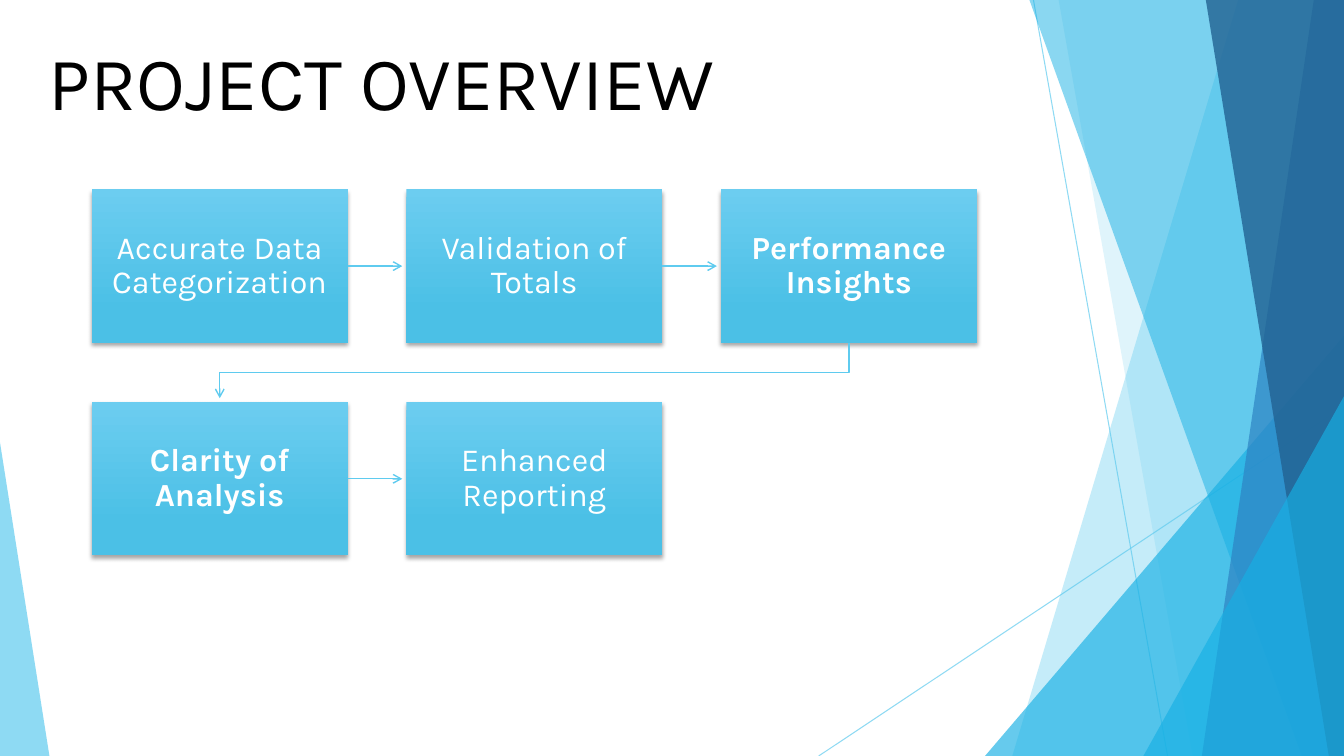
from dataclasses import dataclass

from lxml import etree
from pptx import Presentation
from pptx import util as u
from pptx.dml.color import RGBColor
from pptx.enum import shapes, text
from pptx.oxml import ns


@dataclass(frozen=True)
class Theme:
    font: str = "Karla"
    title_size: int = 54
    box_size: int = 23
    black: str = "000000"
    white: str = "FFFFFF"
    sky: str = "5FCBEF"
    cyan: str = "17B0E4"
    blue: str = "2E83C3"
    navy: str = "226292"
    box_top: str = "6CCDF0"
    box_bottom: str = "4BC0E6"


THEME = Theme()
RIGHT, BOTTOM = 13.33, 7.5
BOX_W, BOX_H = 2.54, 1.52
BOX_LEFT, BOX_TOP = 0.91, 1.88
COLUMN_STEP, ROW_STEP = 3.12, 2.11
ARROW_GAP = 0.04


def rgb(color):
    return RGBColor.from_string(color)


def set_alpha(sp, percent):
    color = sp._element.spPr.find(".//" + ns.qn("a:srgbClr"))
    etree.SubElement(color, ns.qn("a:alpha"), val=str(percent * 1000))


def set_line(sp, width):
    sp.line.color.rgb = rgb(THEME.sky)
    sp.line.width = u.Pt(width)


def add_arrowhead(sp):
    ln = sp.line._get_or_add_ln()
    etree.SubElement(ln, ns.qn("a:tailEnd"), type="arrow")


def fill_facet(sp, color, alpha):
    sp.shadow.inherit = False
    sp.fill.solid()
    sp.fill.fore_color.rgb = rgb(color)
    sp.line.fill.background()
    set_alpha(sp, alpha)


def add_path(s, points, close):
    pts = [(u.Inches(x), u.Inches(y)) for x, y in points]
    builder = s.shapes.build_freeform(*pts[0])
    builder.add_line_segments(pts[1:], close=close)
    sp = builder.convert_to_shape()
    sp.shadow.inherit = False
    return sp


def add_band(s, top_x, bottom_x, color, alpha):
    points = [(top_x, 0), (RIGHT, 0), (RIGHT, BOTTOM), (bottom_x, BOTTOM)]
    fill_facet(add_path(s, points, True), color, alpha)


def add_triangle(s, left, top, width, apex, color, alpha):
    sp = s.shapes.add_shape(
        shapes.MSO_SHAPE.ISOSCELES_TRIANGLE,
        u.Inches(left), u.Inches(top), u.Inches(width), u.Inches(BOTTOM - top))
    sp.adjustments[0] = apex
    fill_facet(sp, color, alpha)


def add_line(s, x1, y1, x2, y2, width):
    line = s.shapes.add_connector(
        shapes.MSO_CONNECTOR.STRAIGHT,
        u.Inches(x1), u.Inches(y1), u.Inches(x2), u.Inches(y2))
    set_line(line, width)
    etree.SubElement(line._element.spPr, ns.qn("a:effectLst"))
    return line


def add_backdrop(s):
    for ends in ((10.25, 0, 11.58, BOTTOM), (RIGHT, 4.03, 8.12, BOTTOM)):
        set_alpha(add_line(s, *ends, 0.75), 70)
    add_band(s, 12.28, 10.04, THEME.sky, 36)
    add_band(s, 10.5, 11.83, THEME.sky, 20)
    add_triangle(s, 9.77, 3.33, 3.56, 1, THEME.cyan, 66)
    add_band(s, 10.21, 12.91, THEME.cyan, 50)
    add_band(s, 13.03, 11.92, THEME.blue, 70)
    add_band(s, 11.96, 13.18, THEME.navy, 80)
    add_triangle(s, 11.34, 3.93, 1.99, 1, THEME.cyan, 66)
    add_triangle(s, 0, 4.39, 0.49, 0, THEME.sky, 70)


def set_title(s, words):
    title = s.shapes.title
    title.left, title.top = u.Inches(0.38), u.Inches(0.3)
    title.width, title.height = u.Inches(7.81), u.Inches(1.01)
    tf = title.text_frame
    tf.text = words
    tf.auto_size = text.MSO_AUTO_SIZE.NONE
    tf.vertical_anchor = text.MSO_ANCHOR.TOP
    p = tf.paragraphs[0]
    p.alignment = text.PP_ALIGN.LEFT
    p.font.name = THEME.font
    p.font.size = u.Pt(THEME.title_size)
    p.font.color.rgb = rgb(THEME.black)


def add_box_shadow(sp):
    sp.shadow.inherit = False
    effects = sp._element.spPr.find(ns.qn("a:effectLst"))
    shadow = etree.SubElement(
        effects, ns.qn("a:outerShdw"), blurRad=str(u.Pt(3)), dist=str(u.Pt(2)),
        dir="5400000", rotWithShape="0")
    color = etree.SubElement(shadow, ns.qn("a:srgbClr"), val=THEME.black)
    etree.SubElement(color, ns.qn("a:alpha"), val="35000")


def add_box(s, left, top, words, bold):
    sp = s.shapes.add_shape(
        shapes.MSO_SHAPE.RECTANGLE,
        u.Inches(left), u.Inches(top), u.Inches(BOX_W), u.Inches(BOX_H))
    sp.fill.gradient()
    sp.fill.gradient_angle = 270
    stops = zip(sp.fill.gradient_stops, (0, 0.78), (THEME.box_top, THEME.box_bottom))
    for stop, position, color in stops:
        stop.position = position
        stop.color.rgb = rgb(color)
    sp.line.fill.background()
    add_box_shadow(sp)
    tf = sp.text_frame
    tf.text = words
    tf.word_wrap = True
    tf.vertical_anchor = text.MSO_ANCHOR.MIDDLE
    tf.margin_left = tf.margin_right = u.Inches(0.18)
    tf.margin_top = tf.margin_bottom = u.Inches(0.18)
    p = tf.paragraphs[0]
    p.alignment = text.PP_ALIGN.CENTER
    p.line_spacing = 0.9
    p.font.name = THEME.font
    p.font.size = u.Pt(THEME.box_size)
    p.font.bold = bold
    p.font.color.rgb = rgb(THEME.white)
    return sp


def add_step_arrow(s, box, left, top):
    y = top + BOX_H / 2
    arrow = add_line(s, left + BOX_W, y, left + COLUMN_STEP - ARROW_GAP, y, 1)
    arrow.begin_connect(box, 3)
    add_arrowhead(arrow)


def add_return_arrow(s):
    start_x = BOX_LEFT + 2 * COLUMN_STEP + BOX_W / 2
    end_x = BOX_LEFT + BOX_W / 2
    start_y = BOX_TOP + BOX_H
    end_y = BOX_TOP + ROW_STEP
    mid_y = (start_y + end_y) / 2
    sp = add_path(s, [(start_x, start_y), (start_x, mid_y),
                      (end_x, mid_y), (end_x, end_y - ARROW_GAP)], False)
    sp.fill.background()
    set_line(sp, 1)
    add_arrowhead(sp)


def add_flow(s, rows):
    for row, steps in enumerate(rows):
        top = BOX_TOP + row * ROW_STEP
        for column, (words, bold) in enumerate(steps):
            left = BOX_LEFT + column * COLUMN_STEP
            box = add_box(s, left, top, words, bold)
            if column < len(steps) - 1:
                add_step_arrow(s, box, left, top)
    add_return_arrow(s)


def main():
    prs = Presentation()
    prs.slide_width, prs.slide_height = u.Inches(RIGHT), u.Inches(BOTTOM)
    s = prs.slides.add_slide(prs.slide_layouts[5])
    add_backdrop(s)
    set_title(s, "PROJECT OVERVIEW")
    add_flow(s, [
        [("Accurate Data Categorization", False), ("Validation of Totals", False),
         ("Performance Insights", True)],
        [("Clarity of Analysis", True), ("Enhanced Reporting", False)],
    ])
    prs.save("out.pptx")


if __name__ == "__main__":
    main()
